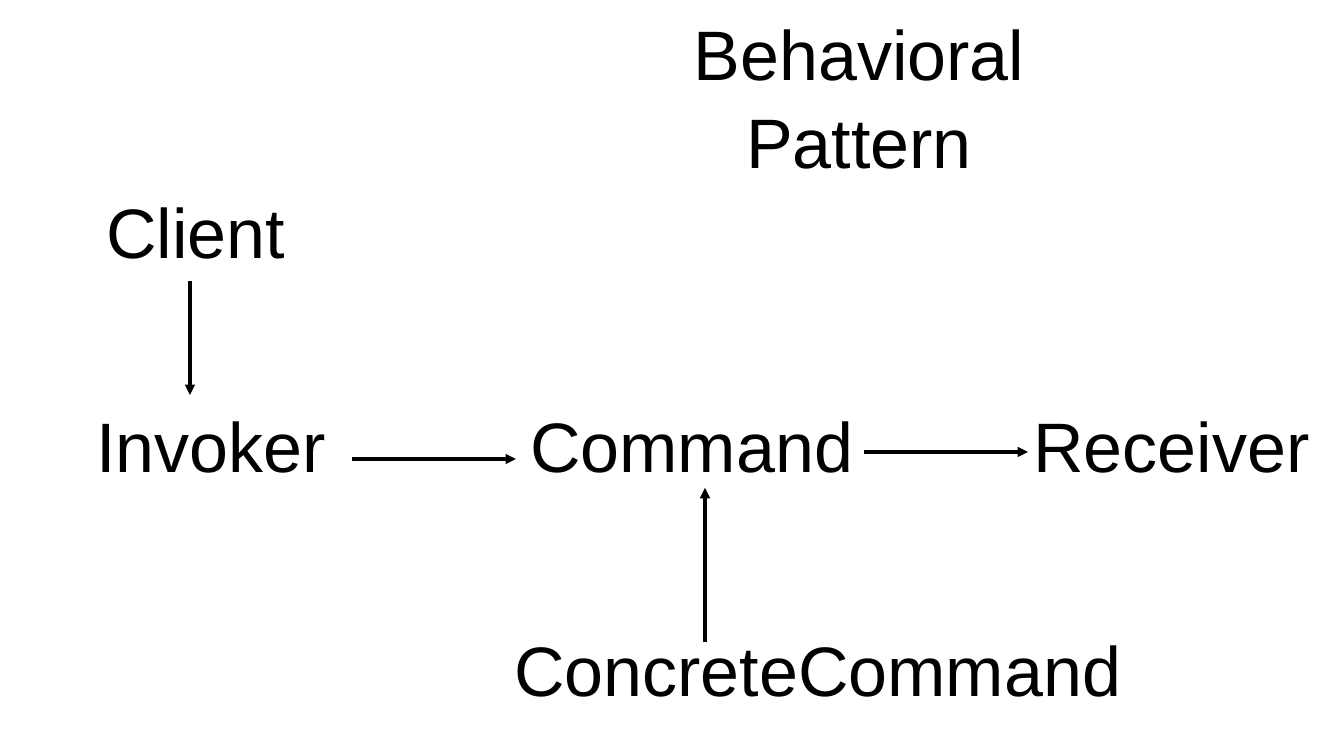
"""Build a slide showing the participants of the Command pattern."""
from lxml import etree
from pptx import Presentation
from pptx.dml.color import RGBColor
from pptx.enum.shapes import MSO_CONNECTOR
from pptx.enum.text import MSO_ANCHOR, MSO_AUTO_SIZE, PP_ALIGN
from pptx.oxml.ns import qn
from pptx.util import Pt

PX = 18143
BLACK = RGBColor(0, 0, 0)
STRAIGHT = MSO_CONNECTOR.STRAIGHT
MIDDLE = MSO_ANCHOR.MIDDLE
NO_RESIZE = MSO_AUTO_SIZE.NONE
CENTER = PP_ALIGN.CENTER
LABEL_HEIGHT = 90
ROW_TOP = 400


def write_text(shape, text, wrap=False, size=100, line_spacing=1.0):
    frame = shape.text_frame
    frame.margin_left = frame.margin_right = 3 * PX
    frame.margin_top = frame.margin_bottom = 3 * PX
    frame.auto_size = NO_RESIZE
    frame.word_wrap = wrap
    frame.vertical_anchor = MIDDLE
    paragraph = frame.paragraphs[0]
    paragraph.text = text
    paragraph.alignment = CENTER
    paragraph.line_spacing = line_spacing
    font = paragraph.runs[0].font
    font.name = "Arial"
    font.size = Pt(size)
    font.color.rgb = BLACK


presentation = Presentation()
presentation.slide_width = 1344 * PX
presentation.slide_height = 756 * PX
slide = presentation.slides.add_slide(presentation.slide_layouts[5])

title = slide.shapes.title
title.left, title.top = 689 * PX, 8 * PX
title.width, title.height = 340 * PX, 174 * PX
write_text(title, "Behavioral Pattern", wrap=True, line_spacing=1.04)

participants = [
    ("Client", 103, 186, 185),
    ("Invoker", 93, ROW_TOP, 236),
    ("Command", 525, ROW_TOP, 333),
    ("Receiver", 1030, ROW_TOP, 283),
    ("ConcreteCommand", 508, 624, 619),
]
for name, left, top, width in participants:
    label = slide.shapes.add_textbox(left * PX, top * PX, width * PX, LABEL_HEIGHT * PX)
    write_text(label, name)

arrows = [
    (190, 281, 190, 395),
    (352, 459, 516, 459),
    (864, 452, 1028, 452),
    (705, 642, 705, 488),
]
for arrow in arrows:
    connector = slide.shapes.add_connector(STRAIGHT, *(value * PX for value in arrow))
    connector.line.color.rgb = BLACK
    connector.line.width = Pt(5)
    line = connector.line._get_or_add_ln()
    etree.SubElement(line, qn("a:tailEnd"), type="triangle")
    etree.SubElement(connector._element.spPr, qn("a:effectLst"))

presentation.save("out.pptx")
